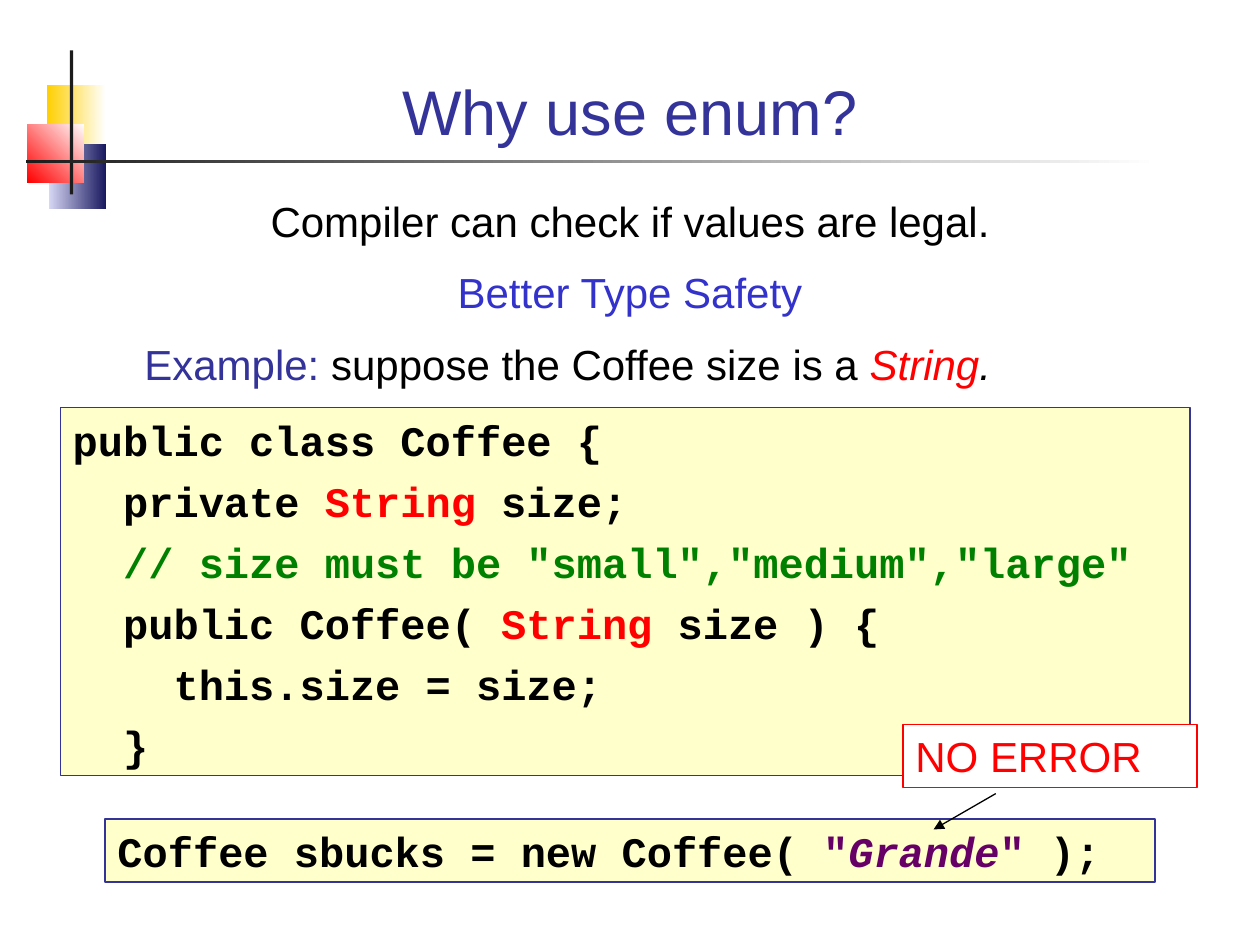
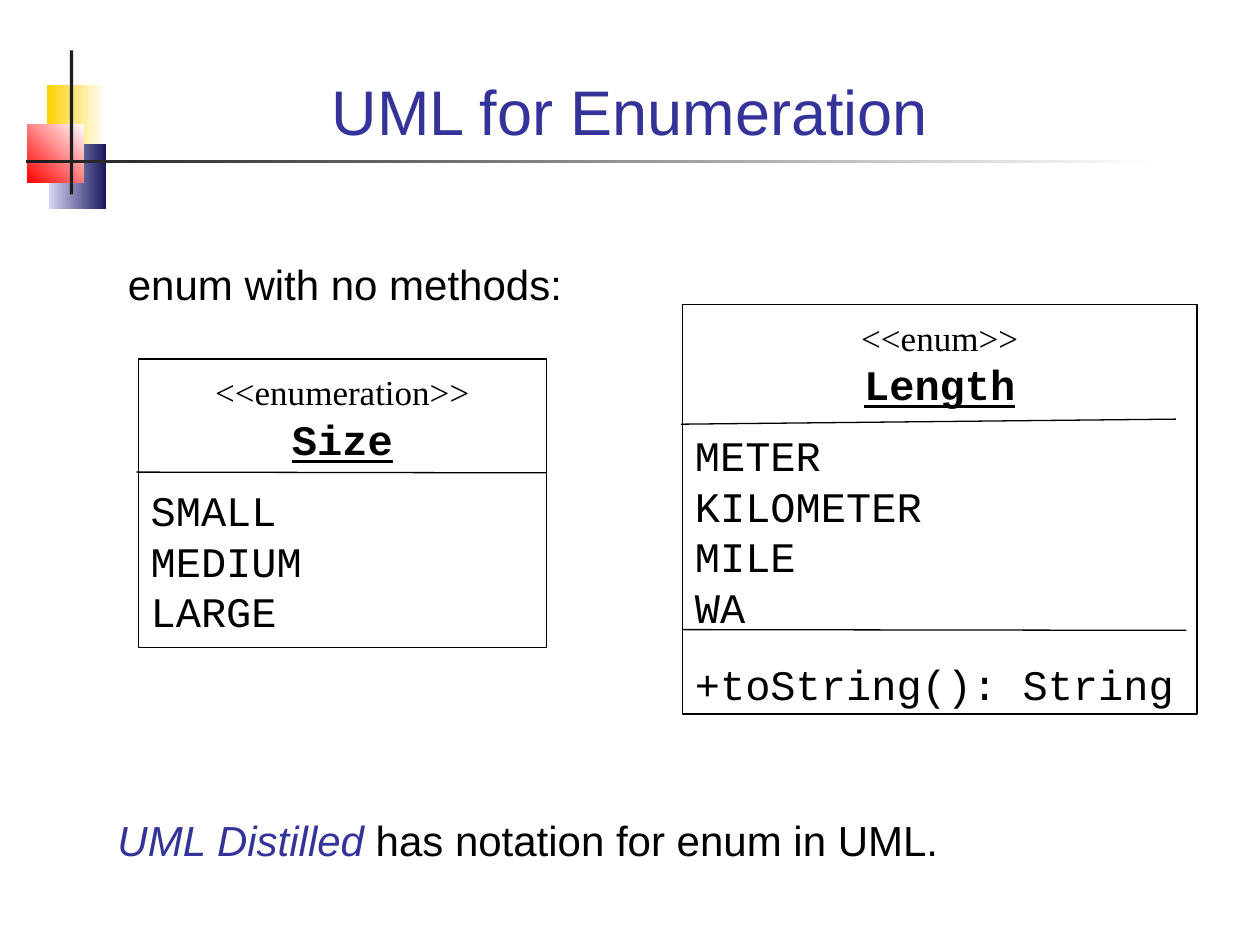
from dataclasses import dataclass

import lxml.etree
import pptx
import pptx.dml.color
import pptx.enum.shapes
import pptx.enum.text
import pptx.oxml.ns
import pptx.util

Pt = pptx.util.Pt
LEFT = pptx.enum.text.PP_ALIGN.LEFT
CENTER = pptx.enum.text.PP_ALIGN.CENTER


@dataclass(frozen=True)
class Theme:
    title: str = "333399"
    accent: str = "3333CC"
    ink: str = "000000"
    red: str = "FF0000"
    comment: str = "008000"
    literal: str = "660066"
    paper: str = "FFFFFF"
    code_paper: str = "FFFFCC"
    rule: str = "1C1C1C"
    sans: str = "Arial"
    mono: str = "Courier New"
    serif: str = "Times New Roman"
    title_size: float = 36
    text_size: float = 24
    stereotype_size: float = 20
    line_width: float = 0.75
    line_height: float = 28.85
    stereotype_height: float = 27.2


THEME = Theme()


@dataclass(frozen=True)
class Run:
    text: str
    color: str = THEME.ink
    font: str = THEME.sans
    size: float = THEME.text_size
    bold: bool = False
    italic: bool = False
    underline: bool = False


@dataclass(frozen=True)
class Line:
    runs: tuple
    align: int = LEFT
    before: float = 0
    after: float = 0
    indent: float = 0
    height: float = THEME.line_height


def code(text, color=THEME.ink, italic=False):
    return Run(text, color, THEME.mono, bold=True, italic=italic)


TITLE_BOX = (48, 20, 624, 68.5)
SQUARES = [
    ((26.9, 48.4, 33.5, 37.4), THEME.paper, "FFCF01", 180),
    ((28.1, 82, 32.7, 37.4), "17175E", "D6D6F5", 180),
    ((15.6, 71, 32.4, 33.4), THEME.paper, THEME.red, 225),
]
VERTICAL_RULE = (40, 28.8, 1.8, 82.3)
HORIZONTAL_RULE = ((15, 91.3, 647.3, 1.8), THEME.paper, THEME.rule, 180)

SAFETY_TITLE = "Why use enum?"
SAFETY_POINTS = [
    Line((Run("Compiler can check if values are legal."),), CENTER),
    Line((Run("Better Type Safety", THEME.accent),), CENTER, before=12),
    Line(
        (
            Run("Example:", THEME.title),
            Run(" suppose the Coffee size is a "),
            Run("String", THEME.red, italic=True),
            Run(".", italic=True),
        ),
        before=12,
        indent=27.4,
    ),
]
COFFEE_CLASS = [
    (code("public class Coffee {"),),
    (code("  private "), code("String", THEME.red), code(" size;")),
    (code("  "), code('// size must be "small","medium","large"', THEME.comment)),
    (code("  public Coffee( "), code("String", THEME.red), code(" size ) {")),
    (code("    this.size = size;"),),
    (code("  }"),),
]
COFFEE_CALL = [
    (
        code("Coffee sbucks = new Coffee( "),
        code('"', THEME.literal),
        code("Grande", THEME.literal, italic=True),
        code('"', THEME.literal),
        code(" );"),
    )
]
NO_ERROR = [Line((Run("NO ERROR", THEME.red),))]

UML_TITLE = "UML for Enumeration"
UML_INTRO = [Line((Run("enum with no methods:"),))]
UML_NOTE = [
    Line(
        (
            Run("UML Distilled", THEME.title, italic=True),
            Run(" has notation for enum in UML."),
        )
    )
]
UML_CLASSES = [
    {
        "box": (79, 205.2, 233.3, 165),
        "stereotype": "<<enumeration>>",
        "name": "Size",
        "values": ["SMALL", "MEDIUM", "LARGE"],
        "methods": [],
        "dividers": [(78, 269.8, 312, 270.2)],
    },
    {
        "box": (390, 174, 294, 234),
        "stereotype": "<<enum>>",
        "name": "Length",
        "values": ["METER", "KILOMETER", "MILE", "WA"],
        "methods": ["+toString(): String"],
        "dividers": [(389.2, 242.4, 672, 239.5), (390, 359.8, 678, 360.2)],
    },
]


def rgb(value):
    return pptx.dml.color.RGBColor.from_string(value)


def points(values):
    return [Pt(value) for value in values]


def write(text_frame, lines):
    text_frame.word_wrap = True
    text_frame.vertical_anchor = pptx.enum.text.MSO_ANCHOR.TOP
    for index, line in enumerate(lines):
        paragraph = text_frame.paragraphs[0] if index == 0 else text_frame.add_paragraph()
        paragraph.alignment = line.align
        paragraph.space_before = Pt(line.before)
        paragraph.space_after = Pt(line.after)
        paragraph.line_spacing = Pt(line.height)
        if line.indent:
            paragraph._p.get_or_add_pPr().set("marL", str(Pt(line.indent)))
        for item in line.runs:
            run = paragraph.add_run()
            run.text = item.text
            run.font.name = item.font
            run.font.size = Pt(item.size)
            run.font.bold = item.bold
            run.font.italic = item.italic
            run.font.underline = item.underline
            run.font.color.rgb = rgb(item.color)


def add_text(slide, box, lines):
    write(slide.shapes.add_textbox(*points(box)).text_frame, lines)


def add_rectangle(slide, box):
    shape = slide.shapes.add_shape(
        pptx.enum.shapes.MSO_SHAPE.RECTANGLE, *points(box)
    )
    shape.shadow.inherit = False
    shape.line.fill.background()
    return shape


def add_gradient(slide, box, start, end, angle):
    fill = add_rectangle(slide, box).fill
    fill.gradient()
    fill.gradient_angle = angle
    for stop, color in zip(fill.gradient_stops, (start, end)):
        stop.color.rgb = rgb(color)


def add_panel(slide, box, lines, fill, border):
    shape = add_rectangle(slide, box)
    shape.fill.solid()
    shape.fill.fore_color.rgb = rgb(fill)
    shape.line.color.rgb = rgb(border)
    shape.line.width = Pt(THEME.line_width)
    write(shape.text_frame, lines)


def add_code(slide, box, rows):
    lines = [Line(row, before=6 if index else 0) for index, row in enumerate(rows)]
    add_panel(slide, box, lines, THEME.code_paper, THEME.title)


def add_line(slide, ends, arrow=False):
    connector = slide.shapes.add_connector(
        pptx.enum.shapes.MSO_CONNECTOR.STRAIGHT, *points(ends)
    )
    connector.line.color.rgb = rgb(THEME.ink)
    connector.line.width = Pt(THEME.line_width)
    qualified = pptx.oxml.ns.qn
    if arrow:
        outline = connector.line._get_or_add_ln()
        lxml.etree.SubElement(outline, qualified("a:tailEnd"), type="triangle")
    lxml.etree.SubElement(connector._element.spPr, qualified("a:effectLst"))


def add_uml_class(slide, uml_class):
    stereotype = Run(
        uml_class["stereotype"], font=THEME.serif, size=THEME.stereotype_size
    )
    name = Run(uml_class["name"], font=THEME.mono, bold=True, underline=True)
    lines = [
        Line((stereotype,), CENTER, height=THEME.stereotype_height),
        Line((name,), CENTER, after=12),
    ]
    for key, before in (("values", 0), ("methods", 15)):
        lines += [
            Line((Run(member, font=THEME.mono),), before=before)
            for member in uml_class[key]
        ]
    add_panel(slide, uml_class["box"], lines, THEME.paper, THEME.ink)
    for ends in uml_class["dividers"]:
        add_line(slide, ends)


def add_slide(presentation, title_text):
    slide = presentation.slides.add_slide(presentation.slide_layouts[5])
    for square in SQUARES:
        add_gradient(slide, *square)
    rule = add_rectangle(slide, VERTICAL_RULE)
    rule.fill.solid()
    rule.fill.fore_color.rgb = rgb(THEME.rule)
    add_gradient(slide, *HORIZONTAL_RULE)

    title = slide.shapes.title
    title.left, title.top, title.width, title.height = points(TITLE_BOX)
    text_frame = title.text_frame
    text_frame.text = title_text
    text_frame.vertical_anchor = pptx.enum.text.MSO_ANCHOR.BOTTOM
    paragraph = text_frame.paragraphs[0]
    paragraph.alignment = CENTER
    font = paragraph.runs[0].font
    font.name = THEME.sans
    font.size = Pt(THEME.title_size)
    font.color.rgb = rgb(THEME.title)
    return slide


def main():
    presentation = pptx.Presentation()
    presentation.slide_width = Pt(720)
    presentation.slide_height = Pt(540)

    safety = add_slide(presentation, SAFETY_TITLE)
    add_text(safety, (48, 108, 624, 125), SAFETY_POINTS)
    add_code(safety, (34.5, 233, 645.5, 210), COFFEE_CLASS)
    add_code(safety, (60, 468, 600, 36), COFFEE_CALL)
    add_panel(safety, (516, 414, 168, 36), NO_ERROR, THEME.paper, THEME.red)
    add_line(safety, (569, 453.5, 533.5, 474), arrow=True)

    uml = add_slide(presentation, UML_TITLE)
    add_text(uml, (66, 144, 277, 36), UML_INTRO)
    for uml_class in UML_CLASSES:
        add_uml_class(uml, uml_class)
    add_text(uml, (60, 462, 624, 36), UML_NOTE)

    presentation.save("out.pptx")


if __name__ == "__main__":
    main()
